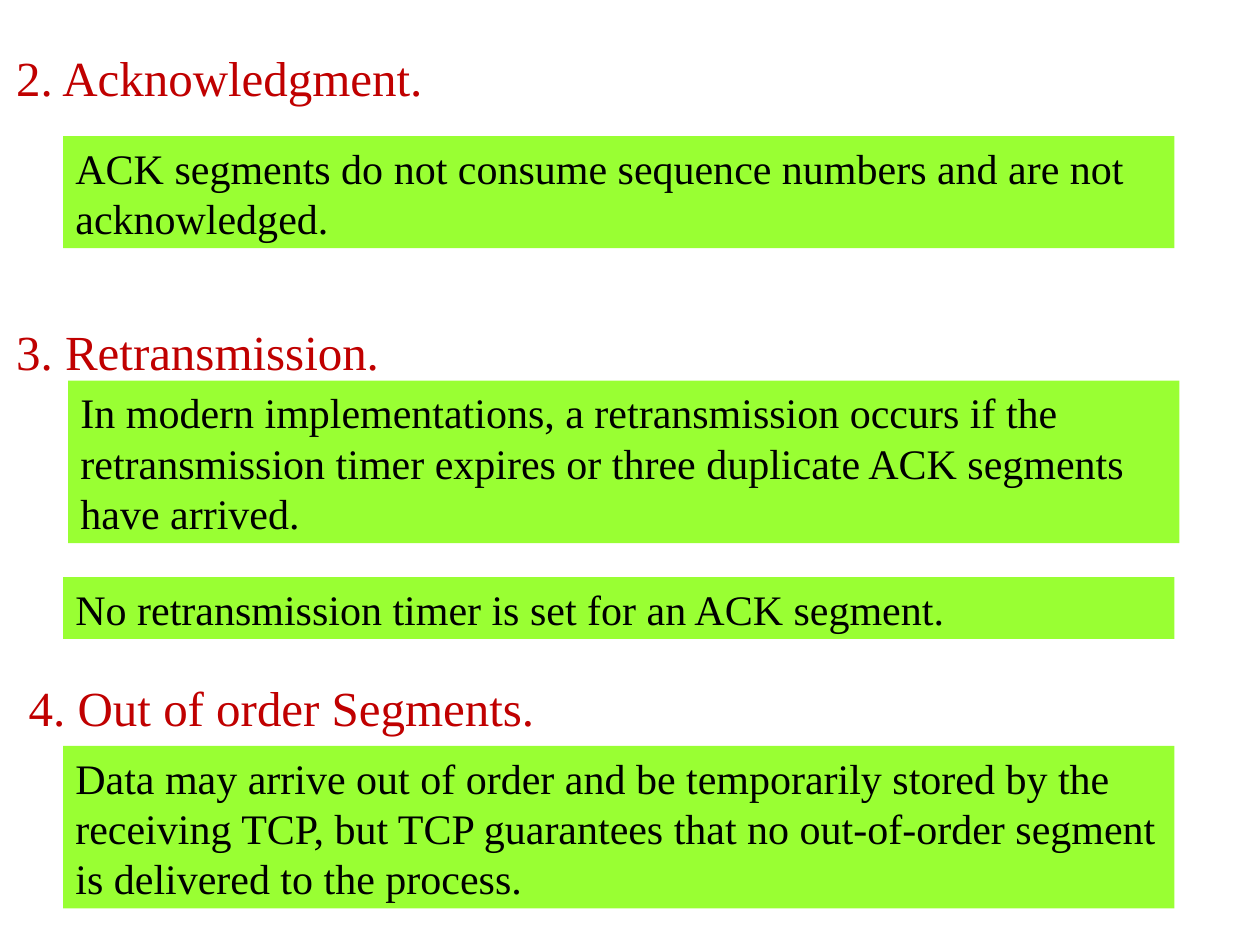
from dataclasses import dataclass

import pptx
import pptx.dml.color
import pptx.enum.shapes
import pptx.enum.text
import pptx.util
from pptx.util import Inches

FONT = "Times New Roman"
RED, GREEN, BLACK = "C00000", "99FF33", "000000"
NOTE_WIDTH, HEADING_HEIGHT = 8.82, 0.55


@dataclass
class Heading:
    text: str
    left: float
    top: float
    width: float


@dataclass
class Note:
    text: str
    top: float
    height: float
    left: float = 0.5


NOTES = [
    Note("ACK segments do not consume sequence numbers and are not "
         "acknowledged.", 1.08, 0.89),
    Note("In modern implementations, a retransmission occurs if the "
         "retransmission timer expires or three duplicate ACK segments "
         "have arrived.", 3.02, 1.29, left=0.54),
    Note("No retransmission timer is set for an ACK segment.", 4.58, 0.49),
    Note("Data may arrive out of order and be temporarily stored by the "
         "receiving TCP, but TCP guarantees that no out-of-order segment "
         "is delivered to the process.", 5.92, 1.29),
]

HEADINGS = [
    Heading("2. Acknowledgment.", 0.03, 0.33, 4.54),
    Heading("3. Retransmission.", 0.03, 2.5, 4.19),
    Heading("4. Out of order Segments.", 0.13, 5.33, 5.33),
]


def rgb(color: str) -> pptx.dml.color.RGBColor:
    return pptx.dml.color.RGBColor.from_string(color)


def set_text(sp, text: str, size: int, color: str) -> None:
    tf = sp.text_frame
    tf.word_wrap = True
    tf.vertical_anchor = pptx.enum.text.MSO_ANCHOR.TOP
    p = tf.paragraphs[0]
    p.text = text
    p.alignment = pptx.enum.text.PP_ALIGN.LEFT
    p.font.name = FONT
    p.font.size = pptx.util.Pt(size)
    p.font.color.rgb = rgb(color)


def add_note(s, note: Note) -> None:
    sp = s.shapes.add_shape(
        pptx.enum.shapes.MSO_SHAPE.RECTANGLE, Inches(note.left),
        Inches(note.top), Inches(NOTE_WIDTH), Inches(note.height))
    sp.shadow.inherit = False
    sp.fill.solid()
    sp.fill.fore_color.rgb = rgb(GREEN)
    sp.line.fill.background()
    set_text(sp, note.text, 24, BLACK)


def add_heading(s, heading: Heading) -> None:
    sp = s.shapes.add_textbox(
        Inches(heading.left), Inches(heading.top),
        Inches(heading.width), Inches(HEADING_HEIGHT))
    set_text(sp, heading.text, 28, RED)


def main() -> None:
    prs = pptx.Presentation()
    prs.slide_width, prs.slide_height = Inches(10), Inches(7.5)
    s = prs.slides.add_slide(prs.slide_layouts[6])

    # Green statement boxes
    for note in NOTES:
        add_note(s, note)

    # Red numbered headings, above the boxes
    for heading in HEADINGS:
        add_heading(s, heading)

    prs.save("out.pptx")


if __name__ == "__main__":
    main()
